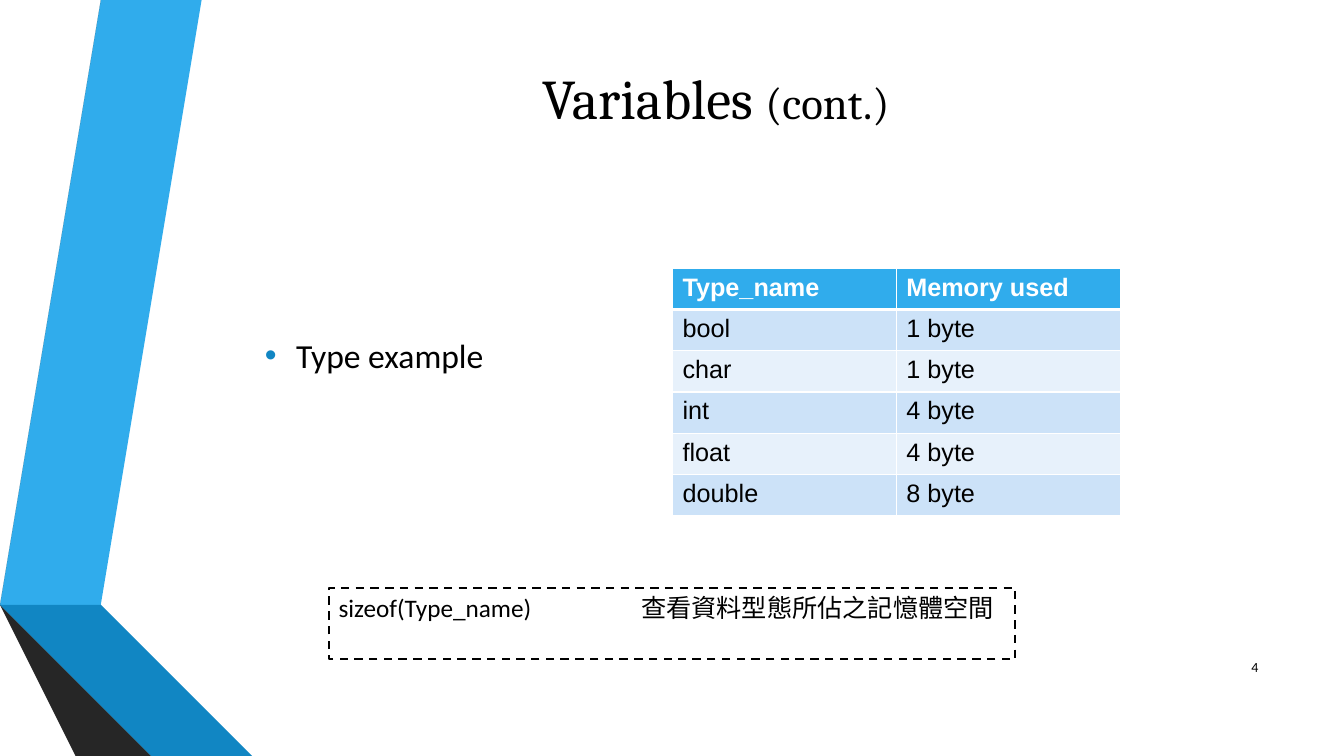
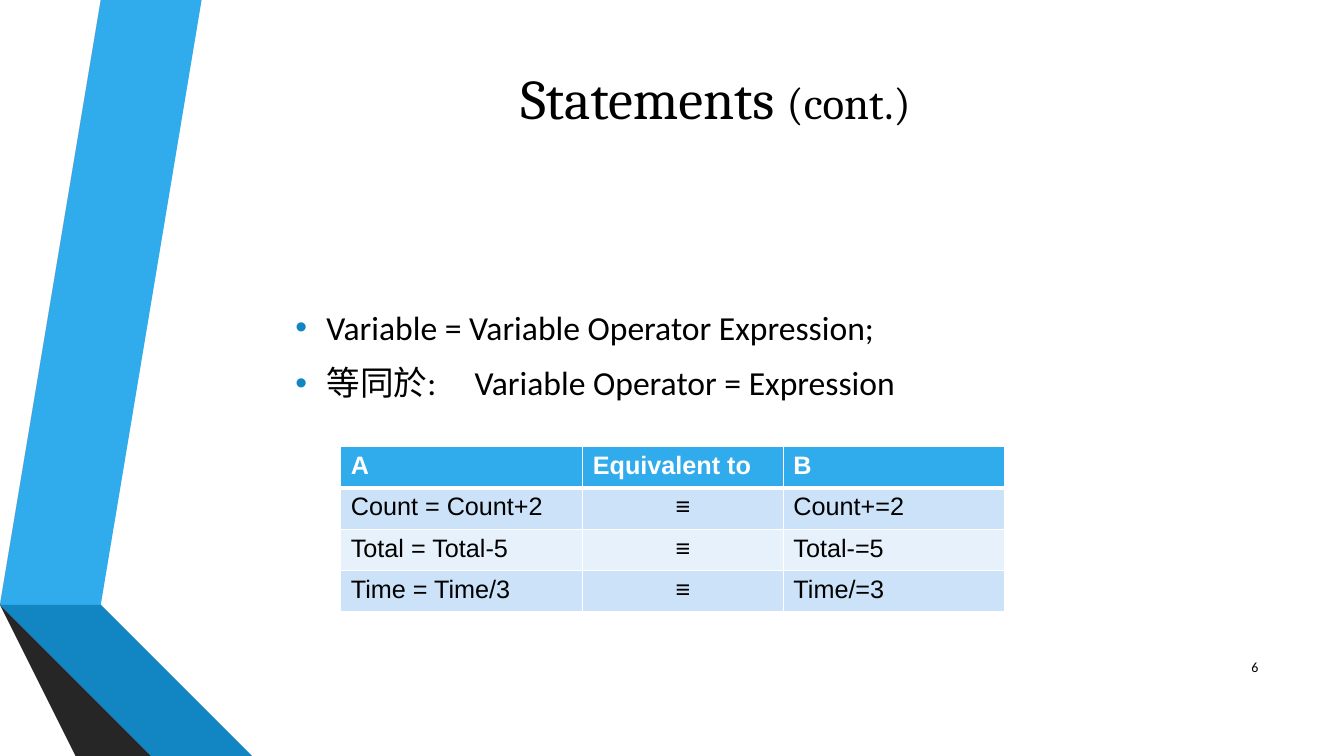
from lxml import etree
from pptx import Presentation
from pptx import util as u
from pptx.dml import color, line
from pptx.enum import dml, shapes, text
from pptx.oxml import ns

BLACK, WHITE = "000000", "FFFFFF"
BLUE, DEEP_BLUE, NAVY = "30ACEC", "1186C3", "0B5982"
GREY, DARK_GREY, CHARCOAL = "595959", "3F3F3F", "262626"
ROW_FILLS = ("CCE2F8", "E7F1FB")
ROW_HEIGHT = 0.41
BULLET_INDENT = 0.31

TITLE_BOX = (1.62, 0, 10.96, 1.92)
NUMBER_BOX = (11.98, 6.42, 0.6, 0.4)

TITLE_FORMAT = {"name": "Cambria", "size": u.Pt(40)}
SUFFIX_FORMAT = {"name": "Cambria", "size": u.Pt(32)}
BODY_FORMAT = {"name": "Calibri", "size": u.Pt(24)}
NOTE_FORMAT = {"name": "Calibri", "size": u.Pt(18)}
NUMBER_FORMAT = {"name": "Calibri", "size": u.Pt(10)}
CELL_FORMAT = {"name": "Arial", "size": u.Pt(18), "bold": False}
HEADER_FORMAT = {**CELL_FORMAT, "bold": True}

RIBBONS = (
    (BLUE, ((0.5, 5.78), (0.77, 5.83), (1.73, 0), (1.45, 0))),
    (GREY, ((1.39, 0), (1.11, 0), (0.16, 5.73), (0.44, 5.77))),
    (CHARCOAL, ((0.16, 5.73), (1.45, 7.5), (1.51, 7.5))),
    (NAVY, ((0.5, 5.79), (2.08, 7.5), (2.14, 7.5))),
    (DEEP_BLUE, ((0.5, 5.79), (2.14, 7.5), (2.83, 7.5), (0.77, 5.83), (0.5, 5.78))),
    (DARK_GREY, ((2.02, 7.5), (0.48, 5.83), (0.43, 5.78), (0.44, 5.77),
                 (0.16, 5.73), (1.51, 7.5))),
)


def rgb(value):
    return color.RGBColor.from_string(value)


def inches(values):
    return [u.Inches(value) for value in values]


def set_format(target, values):
    for name, value in values.items():
        setattr(target, name, value)


def add_run(paragraph, words, font_format, colour=BLACK):
    run = paragraph.add_run()
    run.text = words
    set_format(run.font, font_format)
    run.font.color.rgb = rgb(colour)


def add_element(parent, tag, **attributes):
    return etree.SubElement(parent, ns.qn(tag), attributes)


def add_tab_stop(paragraph, position):
    tabs = add_element(paragraph._p.get_or_add_pPr(), "a:tabLst")
    add_element(tabs, "a:tab", pos=str(u.Inches(position)), algn="l")


def add_bullet(paragraph):
    properties = paragraph._p.get_or_add_pPr()
    indent = u.Inches(BULLET_INDENT)
    properties.set("marL", str(indent))
    properties.set("indent", str(-indent))
    add_element(add_element(properties, "a:buClr"), "a:srgbClr", val=DEEP_BLUE)
    add_element(properties, "a:buFont", typeface="Arial")
    add_element(properties, "a:buChar", char="•")


def add_text_box(slide, box, alignment=text.PP_ALIGN.LEFT):
    frame = slide.shapes.add_textbox(*inches(box)).text_frame
    set_format(frame, {"word_wrap": True, "vertical_anchor": text.MSO_ANCHOR.MIDDLE})
    frame.paragraphs[0].alignment = alignment
    return frame


def add_ribbons(slide):
    for colour, points in RIBBONS:
        builder = slide.shapes.build_freeform(*points[0], scale=u.Inches(1))
        builder.add_line_segments(points[1:], close=True)
        ribbon = builder.convert_to_shape()
        ribbon.shadow.inherit = False
        ribbon.fill.solid()
        ribbon.fill.fore_color.rgb = rgb(colour)
        ribbon.line.fill.background()


def add_base_slide(presentation, title, number):
    slide = presentation.slides.add_slide(presentation.slide_layouts[6])
    add_ribbons(slide)
    heading = add_text_box(slide, TITLE_BOX, text.PP_ALIGN.CENTER).paragraphs[0]
    add_run(heading, title + " ", TITLE_FORMAT)
    add_run(heading, "(cont.)", SUFFIX_FORMAT)
    footer = add_text_box(slide, NUMBER_BOX, text.PP_ALIGN.RIGHT).paragraphs[0]
    add_run(footer, str(number), NUMBER_FORMAT)
    return slide


def add_bullets(slide, box, items, tab_stop=None):
    frame = add_text_box(slide, box)
    for index, item in enumerate(items):
        paragraph = frame.add_paragraph() if index else frame.paragraphs[0]
        add_bullet(paragraph)
        if "\t" in item:
            add_tab_stop(paragraph, tab_stop)
        if index:
            paragraph.space_before = u.Pt(10.8)
        add_run(paragraph, item, BODY_FORMAT)


def set_borders(cell, widths):
    properties = cell._tc.get_or_add_tcPr()
    for side, width in zip("LRTB", widths):
        border = add_element(properties, f"a:ln{side}", w=str(u.Pt(width)))
        add_element(add_element(border, "a:solidFill"), "a:srgbClr", val=WHITE)


def add_grid(slide, left, top, widths, rows, centred=()):
    box = (left, top, sum(widths), ROW_HEIGHT * len(rows))
    table = slide.shapes.add_table(len(rows), len(widths), *inches(box)).table
    for column, width in zip(table.columns, widths):
        column.width = u.Inches(width)
    for row_index, row in enumerate(rows):
        table.rows[row_index].height = u.Inches(ROW_HEIGHT)
        header = row_index == 0
        fill = BLUE if header else ROW_FILLS[(row_index - 1) % 2]
        top_width = 3 if row_index == 1 else 1
        bottom_width = 3 if header else 1
        for column_index, words in enumerate(row):
            cell = table.cell(row_index, column_index)
            set_borders(cell, (1, 1, top_width, bottom_width))
            cell.fill.solid()
            cell.fill.fore_color.rgb = rgb(fill)
            paragraph = cell.text_frame.paragraphs[0]
            if column_index in centred and not header:
                paragraph.alignment = text.PP_ALIGN.CENTER
            add_run(paragraph, words, HEADER_FORMAT if header else CELL_FORMAT,
                    WHITE if header else BLACK)


def add_dashed_note(slide, box, words, tab_stop):
    note = slide.shapes.add_shape(shapes.MSO_SHAPE.RECTANGLE, *inches(box))
    note.shadow.inherit = False
    note.fill.background()
    note.line.color.rgb = rgb(BLACK)
    set_format(note.line, {"width": u.Pt(1.5), "dash_style": dml.MSO_LINE.DASH})
    frame = note.text_frame
    set_format(frame, {"word_wrap": True, "vertical_anchor": text.MSO_ANCHOR.TOP})
    paragraph = frame.paragraphs[0]
    paragraph.alignment = text.PP_ALIGN.LEFT
    add_tab_stop(paragraph, tab_stop)
    add_run(paragraph, words, NOTE_FORMAT)


def build_variables(presentation):
    slide = add_base_slide(presentation, "Variables", 4)
    add_bullets(slide, (2.53, 1.92, 4, 3.2), ["Type example"])
    add_grid(slide, 6.67, 2.66, (2.22, 2.22), (
        ("Type_name", "Memory used"),
        ("bool", "1 byte"),
        ("char", "1 byte"),
        ("int", "4 byte"),
        ("float", "4 byte"),
        ("double", "8 byte"),
    ))
    add_dashed_note(slide, (3.26, 5.83, 6.81, 0.71),
                    "sizeof(Type_name)\t查看資料型態所佔之記憶體空間", 3)


def build_statements(presentation):
    slide = add_base_slide(presentation, "Statements", 6)
    add_bullets(slide, (2.83, 1.92, 9.75, 3.2), (
        "Variable = Variable Operator Expression;",
        "等同於:\tVariable Operator = Expression",
    ), tab_stop=1.78)
    add_grid(slide, 3.38, 4.43, (2.4, 1.99, 2.19), (
        ("A", "Equivalent to", "B"),
        ("Count = Count+2", "≡", "Count+=2"),
        ("Total = Total-5", "≡", "Total-=5"),
        ("Time = Time/3", "≡", "Time/=3"),
    ), centred=(1,))


def main():
    presentation = Presentation()
    set_format(presentation, {"slide_width": u.Inches(13.33),
                              "slide_height": u.Inches(7.5)})
    build_variables(presentation)
    build_statements(presentation)
    presentation.save("out.pptx")


if __name__ == "__main__":
    main()
